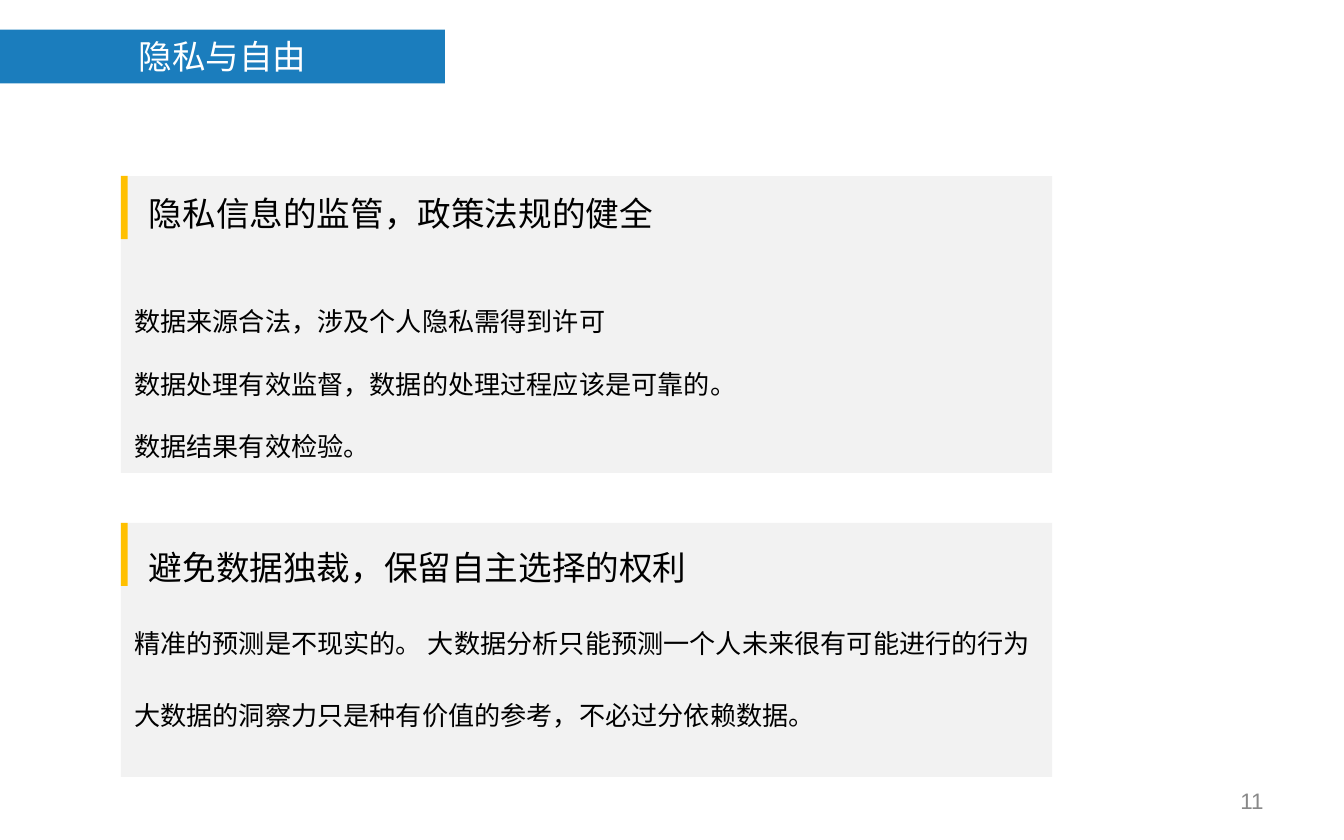
"""Build the privacy and freedom slide."""
import pptx
import pptx.dml.color
import pptx.enum.shapes
import pptx.enum.text
import pptx.oxml.ns
import pptx.util
from lxml import etree

Inches = pptx.util.Inches
Pt = pptx.util.Pt
ALIGN = pptx.enum.text.PP_ALIGN
ANCHOR = pptx.enum.text.MSO_ANCHOR


def rgb(value):
    return pptx.dml.color.RGBColor.from_string(value)


def write(p, text, size=14, color="000000", font="Noto Sans CJK SC",
          align=ALIGN.LEFT, line=None, before=0, indent=0):
    p.alignment = align
    p.space_before = Pt(before)
    if line:
        p.line_spacing = Pt(line)
    if indent:
        pPr = p._p.get_or_add_pPr()
        pPr.set("marL", str(Inches(indent)))
        pPr.set("indent", "0")
    r = p.add_run()
    r.text = text
    r.font.size = Pt(size)
    r.font.name = font
    r.font.color.rgb = rgb(color)
    ea = etree.SubElement(r._r.get_or_add_rPr(), pptx.oxml.ns.qn("a:ea"))
    ea.set("typeface", font)


class Deck:
    BLUE, GOLD, PANEL, GRAY = "1B7DBD", "FFC000", "F2F2F2", "898989"
    LEFT, WIDTH = 0.9, 6.93

    def __init__(self, prs):
        self.s = prs.slides.add_slide(prs.slide_layouts[5])

    def frame(self, sp, anchor=ANCHOR.MIDDLE, top=0.05):
        tf = sp.text_frame
        tf.word_wrap = True
        tf.auto_size = pptx.enum.text.MSO_AUTO_SIZE.NONE
        tf.vertical_anchor = anchor
        tf.margin_left = tf.margin_right = Inches(0.1)
        tf.margin_top, tf.margin_bottom = Inches(top), Inches(0.05)
        return tf

    def title(self, text, x, y, w, h):
        sp = self.s.shapes.title
        sp.left, sp.top, sp.width, sp.height = map(Inches, (x, y, w, h))
        sp.fill.solid()
        sp.fill.fore_color.rgb = rgb(self.BLUE)
        write(self.frame(sp).paragraphs[0], text, size=18, color="FFFFFF",
              align=ALIGN.CENTER)

    def rect(self, x, y, w, h, fill):
        sp = self.s.shapes.add_shape(
            pptx.enum.shapes.MSO_SHAPE.RECTANGLE, *map(Inches, (x, y, w, h)))
        sp.shadow.inherit = False
        sp.fill.solid()
        sp.fill.fore_color.rgb = rgb(fill)
        sp.line.fill.background()
        return sp

    def panel(self, y, h, heading, body, top, first_gap, gap):
        sp = self.rect(self.LEFT, y, self.WIDTH, h, self.PANEL)
        tf = self.frame(sp, ANCHOR.TOP, top)
        write(tf.paragraphs[0], heading, size=18, line=22, indent=0.11)
        for i, text in enumerate(body):
            write(tf.add_paragraph(), text, line=20,
                  before=gap if i else first_gap)
        self.rect(self.LEFT, y, 0.05, 0.47, self.GOLD)

    def number(self, text, x, y, w, h):
        sp = self.s.shapes.add_textbox(*map(Inches, (x, y, w, h)))
        write(self.frame(sp).paragraphs[0], text, size=12, color=self.GRAY,
              font="Arial", align=ALIGN.RIGHT)


def main():
    prs = pptx.Presentation()
    prs.slide_width, prs.slide_height = Inches(10), Inches(6.25)
    deck = Deck(prs)
    deck.title("隐私与自由", 0, 0.22, 3.31, 0.4)
    deck.panel(1.31, 2.21, "隐私信息的监管，政策法规的健全",
               ["数据来源合法，涉及个人隐私需得到许可",
                "数据处理有效监督，数据的处理过程应该是可靠的。",
                "数据结果有效检验。"],
               top=0.12, first_gap=35.5, gap=13.5)
    deck.panel(3.89, 1.89, "避免数据独裁，保留自主选择的权利",
               ["精准的预测是不现实的。 大数据分析只能预测一个人未来很有可能进行的行为",
                "大数据的洞察力只是种有价值的参考，不必过分依赖数据。"],
               top=0.17, first_gap=18.5, gap=18.5)
    deck.number("11", 7.17, 5.79, 2.33, 0.33)
    prs.save("out.pptx")


if __name__ == "__main__":
    main()
